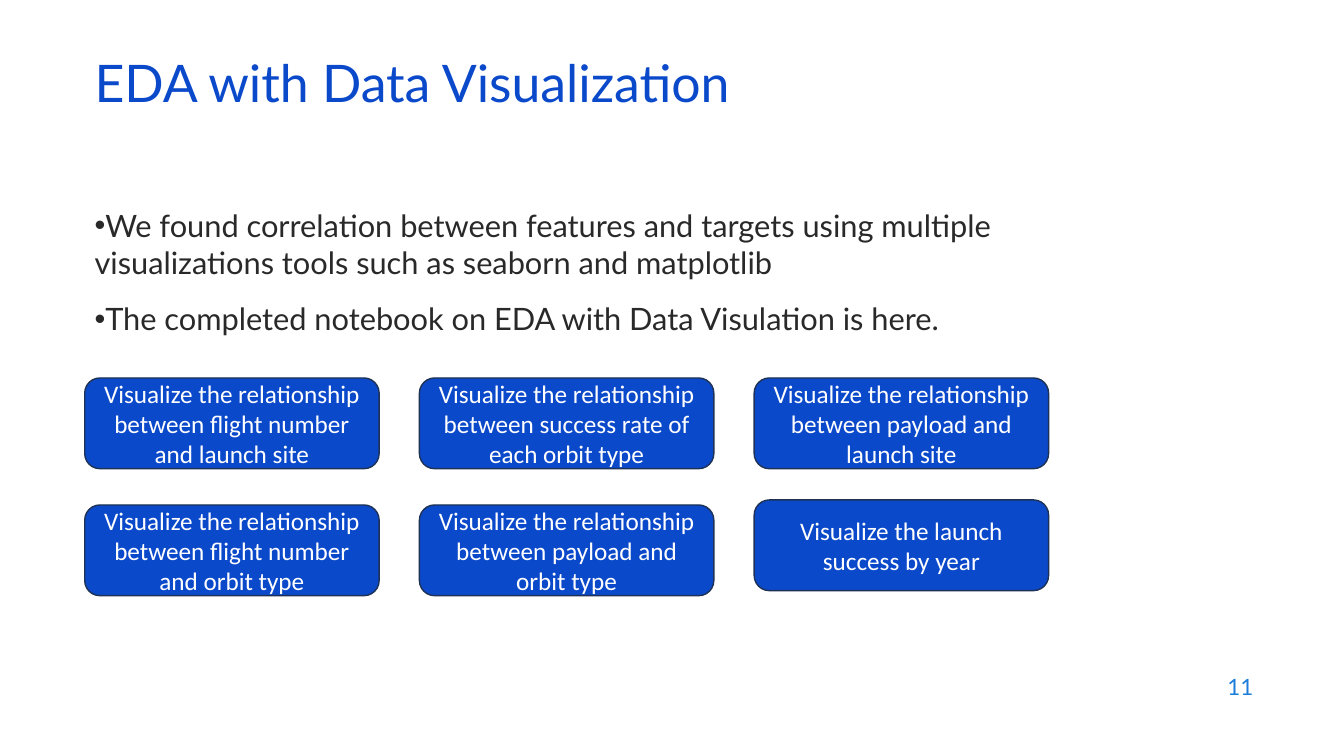
from lxml import etree
from pptx import Presentation
from pptx.dml.color import RGBColor
from pptx.enum.shapes import MSO_SHAPE
from pptx.enum.text import MSO_ANCHOR, PP_ALIGN
from pptx.oxml.ns import qn
from pptx.util import Inches, Pt

CARD = MSO_SHAPE.FLOWCHART_ALTERNATE_PROCESS
TOP, MIDDLE = MSO_ANCHOR.TOP, MSO_ANCHOR.MIDDLE
LEFT, CENTER, RIGHT = PP_ALIGN.LEFT, PP_ALIGN.CENTER, PP_ALIGN.RIGHT
BLUE, EDGE, SKY, DARK, WHITE = "0B49CB", "1E3256", "1C7DDB", "292929", "FFFFFF"
WIDE, HIGH = 13.33, 7.5

POINTS = [
    "We found correlation between features and targets using multiple "
    "visualizations tools such as seaborn and matplotlib",
    "The completed notebook on EDA with Data Visulation is here.",
]
CHARTS = [
    "Visualize the relationship between flight number and launch site",
    "Visualize the relationship between success rate of each orbit type",
    "Visualize the relationship between payload and launch site",
    "Visualize the relationship between flight number and orbit type",
    "Visualize the relationship between payload and orbit type",
    "Visualize the launch success by year",
]


def color(code):
    return RGBColor.from_string(code)


def write(shape, lines, size, ink, font="Lato", align=LEFT, anchor=TOP,
          gap=0, pitch=None, bullet=None):
    frame = shape.text_frame
    frame.word_wrap = True
    frame.vertical_anchor = anchor
    for i, line in enumerate(lines):
        para = frame.paragraphs[0] if i == 0 else frame.add_paragraph()
        if bullet:
            props = para._p.get_or_add_pPr()
            props.set("marL", "0")
            props.set("indent", "0")
            etree.SubElement(props, qn("a:buFont")).set("typeface", "Arial")
            etree.SubElement(props, qn("a:buChar")).set("char", bullet)
        para.alignment = align
        if i:
            para.space_before = Pt(gap)
        if pitch:
            para.line_spacing = pitch
        run = para.add_run()
        run.text = line
        run.font.name = font
        run.font.size = Pt(size)
        run.font.color.rgb = color(ink)


def add_text(slide, box, lines, **style):
    shape = slide.shapes.add_textbox(*map(Inches, box))
    write(shape, lines, **style)


def add_card(slide, box, text):
    card = slide.shapes.add_shape(CARD, *map(Inches, box))
    card.shadow.inherit = False
    card.fill.solid()
    card.fill.fore_color.rgb = color(BLUE)
    card.line.color.rgb = color(EDGE)
    card.line.width = Pt(1)
    write(card, [text], size=18, ink=WHITE, font="Calibri",
          align=CENTER, anchor=MIDDLE)


def add_grid(slide, box, texts, cols=3, gaps=(0.4, 0.36), lift=0.05):
    left, top, width, height = box
    rows = len(texts) // cols
    wide = (width - gaps[0] * (cols - 1)) / cols
    high = (height - gaps[1] * (rows - 1)) / rows
    for i, text in enumerate(texts):
        row, col = divmod(i, cols)
        x = left + col * (wide + gaps[0])
        y = top + row * (high + gaps[1])
        if i == len(texts) - 1:
            y -= lift
        add_card(slide, (x, y, wide, high), text)


def build(slide):
    edge = 0.84
    add_text(slide, (WIDE - 3.8, HIGH - 0.91, 3, 0.44), ["11"],
             size=16, ink=SKY, align=RIGHT, anchor=MIDDLE)
    add_text(slide, (edge, 2, 10.66, 4.76), POINTS,
             size=22, ink=DARK, gap=14, bullet="•")
    add_text(slide, (edge, 0.59, 11.5, 0.6), ["EDA with Data Visualization"],
             size=37, ink=BLUE, anchor=MIDDLE, pitch=0.7)
    add_grid(slide, (edge, HIGH / 2, 9.56, 2.16), CHARTS)


def main():
    deck = Presentation()
    deck.slide_width, deck.slide_height = Inches(WIDE), Inches(HIGH)
    build(deck.slides.add_slide(deck.slide_layouts[6]))
    deck.save("out.pptx")


if __name__ == "__main__":
    main()
